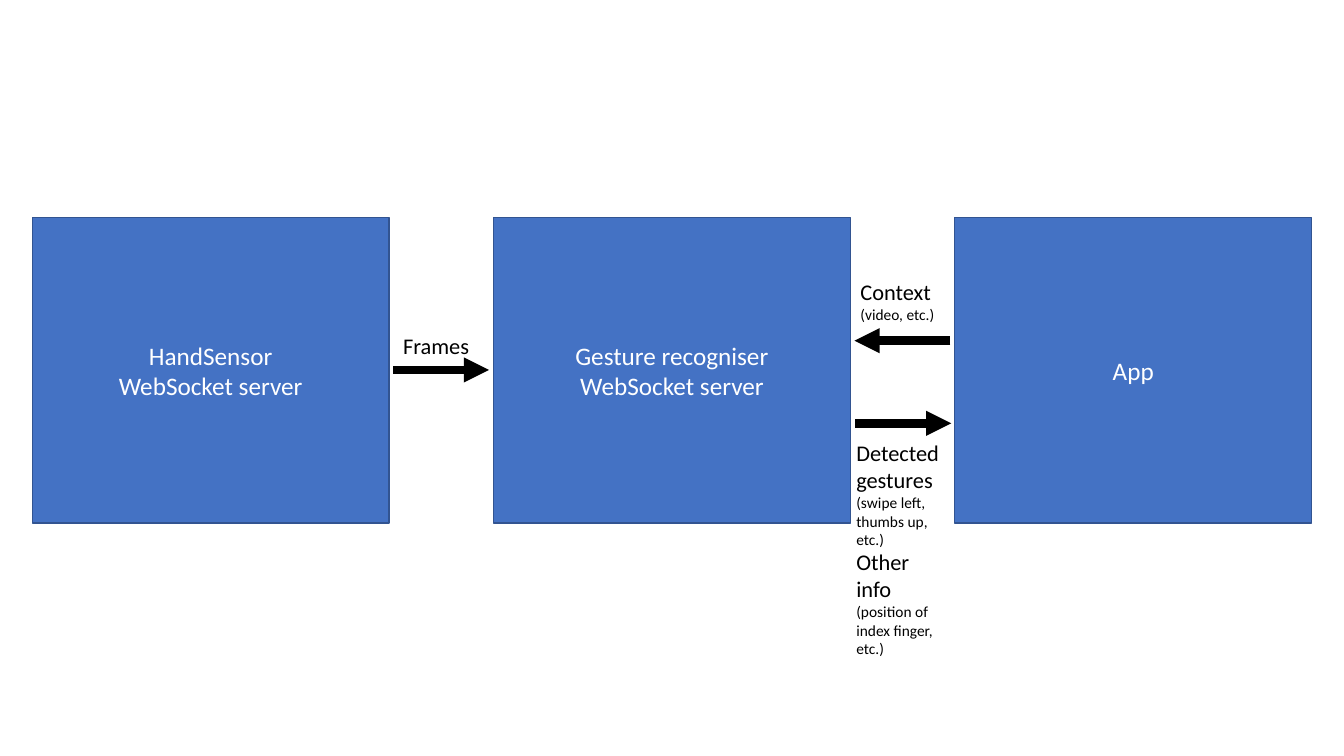
from lxml import etree
from pptx import Presentation
from pptx.dml.color import RGBColor
from pptx.enum import shapes, text
from pptx.oxml import ns
from pptx.util import Inches, Pt

BLUE = RGBColor(0x44, 0x72, 0xC4)
OUTLINE = RGBColor(0x32, 0x54, 0x91)
WHITE = RGBColor(255, 255, 255)
BLACK = RGBColor(0, 0, 0)
FONT = "Calibri"
HEADING, DETAIL = 16, 11

# Three equal blocks spread over the row
ROW_LEFT, ROW_TOP, ROW_WIDTH = 0.32, 2.16, 12.69
BLOCK_WIDTH, BLOCK_HEIGHT = 3.54, 3.03
ARROW_LENGTH = 0.95


def write_text(frame, lines, color=BLACK, align=text.PP_ALIGN.LEFT,
               anchor=text.MSO_ANCHOR.TOP, wrap=True):
    """Write (words, size) lines, one paragraph each."""
    frame.word_wrap = wrap
    frame.vertical_anchor = anchor
    for index, (words, size) in enumerate(lines):
        para = frame.paragraphs[0] if index == 0 else frame.add_paragraph()
        para.alignment = align
        span = para.add_run()
        span.text = words
        span.font.name = FONT
        span.font.size = Pt(size)
        span.font.color.rgb = color


def add_block(page, box, lines):
    block = page.shapes.add_shape(shapes.MSO_SHAPE.RECTANGLE, *map(Inches, box))
    block.shadow.inherit = False
    block.fill.solid()
    block.fill.fore_color.rgb = BLUE
    block.line.color.rgb = OUTLINE
    block.line.width = Pt(1)
    write_text(block.text_frame, [(line, 18) for line in lines], color=WHITE,
               align=text.PP_ALIGN.CENTER, anchor=text.MSO_ANCHOR.MIDDLE)


def add_arrow(page, start, end, height):
    arrow = page.shapes.add_connector(
        shapes.MSO_CONNECTOR.STRAIGHT,
        *map(Inches, (start, height, end, height)))
    arrow.line.color.rgb = BLACK
    arrow.line.width = Pt(6)
    head = etree.SubElement(arrow.line._get_or_add_ln(), ns.qn("a:tailEnd"))
    head.set("type", "triangle")
    etree.SubElement(arrow._element.spPr, ns.qn("a:effectLst"))


def add_label(page, box, lines, wrap=True):
    label = page.shapes.add_textbox(*map(Inches, box))
    write_text(label.text_frame, lines, wrap=wrap)
    label.text_frame.auto_size = text.MSO_AUTO_SIZE.SHAPE_TO_FIT_TEXT


def add_blocks(page, left, top, width):
    names = [["HandSensor", "WebSocket server"],
             ["Gesture recogniser", "WebSocket server"],
             ["App"]]
    pitch = (width - BLOCK_WIDTH) / (len(names) - 1)
    for column, lines in enumerate(names):
        add_block(page, (left + column * pitch, top, BLOCK_WIDTH, BLOCK_HEIGHT), lines)


def add_frames_link(page, left, top):
    """Sensor to recogniser."""
    add_arrow(page, left + 0.04, left + 0.04 + ARROW_LENGTH, top + 1.51)
    add_label(page, (left + 0.04, top + 1.09, 0.87, 0.37),
              [("Frames", HEADING)], wrap=False)


def add_app_links(page, left, top):
    """Recogniser and app, both directions."""
    add_arrow(page, left + 0.05, left + 0.05 + ARROW_LENGTH, top + 2.04)
    add_label(page, (left - 0.04, top + 2.15, 1.07, 2.29),
              [("Detected gestures", HEADING),
               ("(swipe left, thumbs up, etc.)", DETAIL),
               ("Other info", HEADING),
               ("(position of index finger, etc.)", DETAIL)])
    add_arrow(page, left + 0.04 + ARROW_LENGTH, left + 0.04, top + 1.22)
    add_label(page, (left, top + 0.55, 0.99, 0.56),
              [("Context", HEADING), ("(video, etc.)", DETAIL)])


deck = Presentation()
deck.slide_width, deck.slide_height = Inches(13.33), Inches(7.5)
page = deck.slides.add_slide(deck.slide_layouts[6])

add_blocks(page, ROW_LEFT, ROW_TOP, ROW_WIDTH)
add_frames_link(page, ROW_LEFT + BLOCK_WIDTH, ROW_TOP)
add_app_links(page, ROW_LEFT + (ROW_WIDTH + BLOCK_WIDTH) / 2, ROW_TOP)

deck.save("out.pptx")
